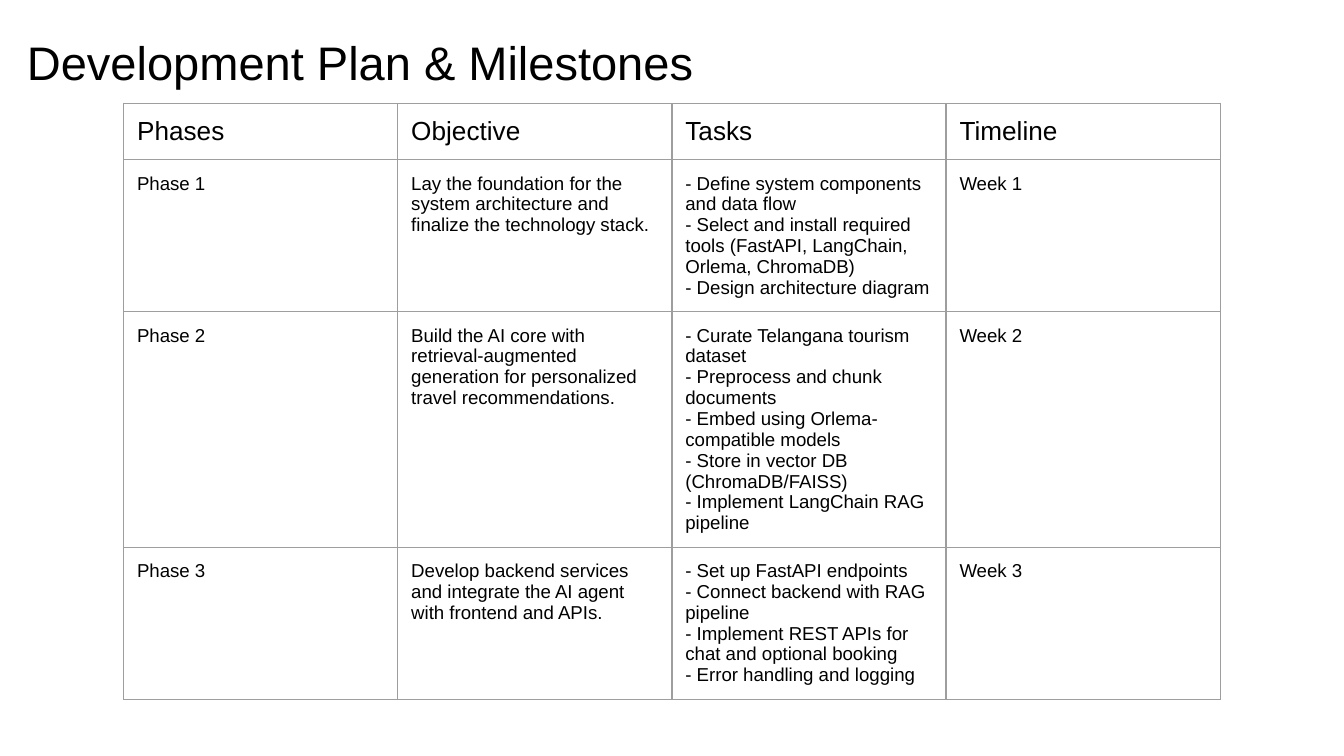
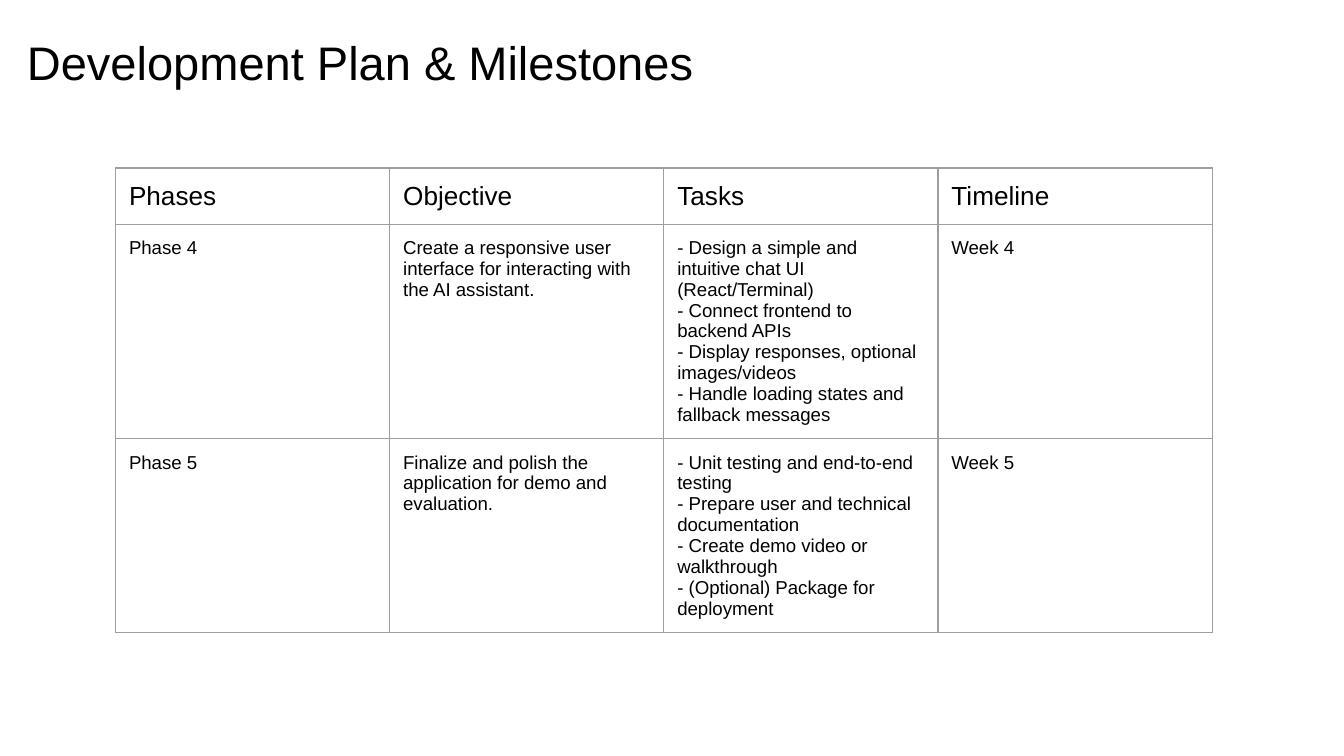
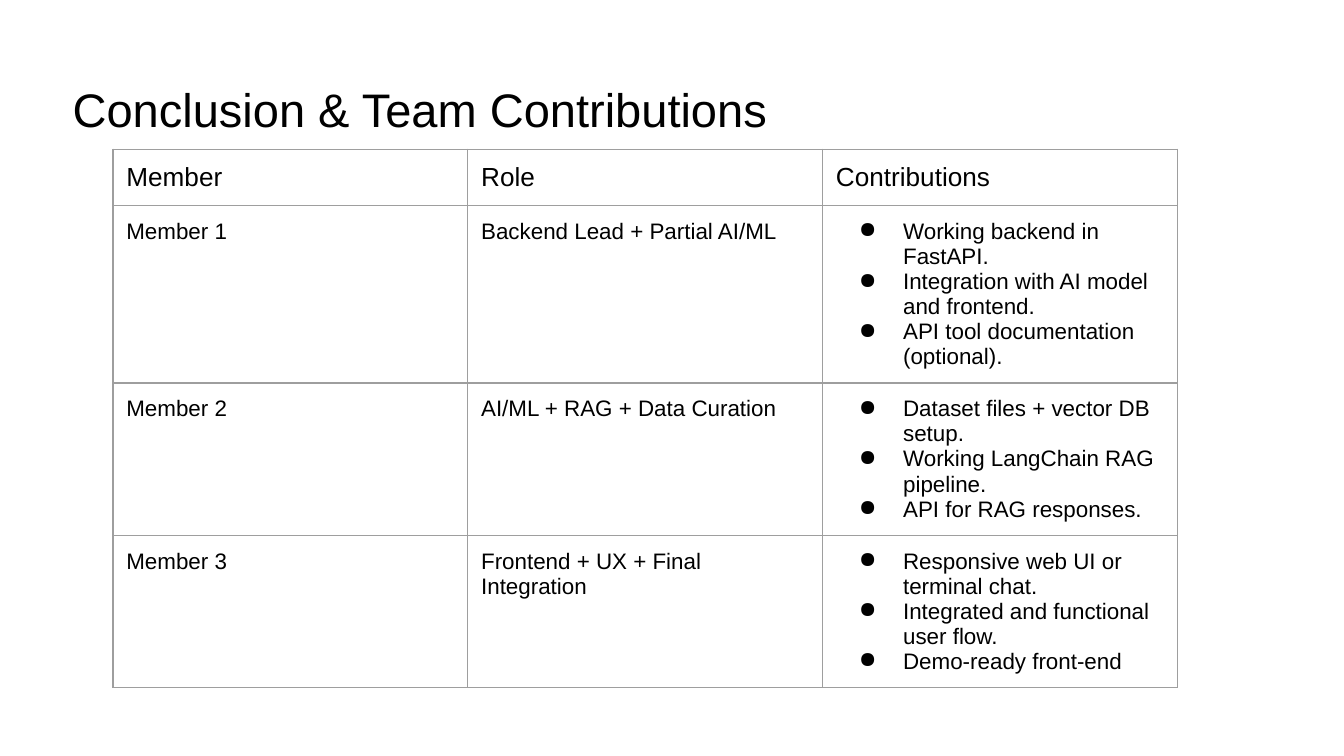
from dataclasses import dataclass

from lxml.etree import SubElement
from pptx import Presentation
from pptx.dml.color import RGBColor as Rgb
from pptx.enum.text import MSO_ANCHOR as Anchor, MSO_AUTO_SIZE as AutoSize, PP_ALIGN as Align
from pptx.oxml.ns import qn
from pptx.util import Pt

PX = 4572
TITLE_ONLY = 5


@dataclass(frozen=True)
class Theme:
    font: str = "Arial"
    ink: str = "000000"
    paper: str = "FFFFFF"
    rule: str = "9E9E9E"
    rule_width: float = 0.75
    title: float = 25.2
    heading: float = 14
    plan: float = 10
    team: float = 12
    inset: int = 20
    bullet: str = "●"
    bullet_margin: int = 100
    bullet_hang: int = 66


class Deck:
    def __init__(self, theme, width, height):
        self.theme = theme
        self.prs = Presentation()
        self.prs.slide_width, self.prs.slide_height = width * PX, height * PX
        self.slide = None

    def new_slide(self):
        self.slide = self.prs.slides.add_slide(self.prs.slide_layouts[TITLE_ONLY])
        background = self.slide.background.fill
        background.solid()
        background.fore_color.rgb = Rgb.from_string(self.theme.paper)

    def style(self, paragraph, size):
        paragraph.alignment = Align.LEFT
        font = paragraph.font
        font.name, font.size = self.theme.font, Pt(size)
        font.color.rgb = Rgb.from_string(self.theme.ink)

    def inset(self, holder):
        holder.margin_left = holder.margin_right = self.theme.inset * PX
        holder.margin_top = holder.margin_bottom = self.theme.inset * PX

    def title(self, text, left, top, width, height, lead=0):
        heading = self.slide.shapes.title
        heading.left, heading.top = left * PX, top * PX
        heading.width, heading.height = width * PX, height * PX
        frame = heading.text_frame
        frame.text = text
        frame.word_wrap = True
        frame.auto_size = AutoSize.NONE
        frame.vertical_anchor = Anchor.BOTTOM
        self.inset(frame)
        frame.margin_left = (self.theme.inset + lead) * PX
        self.style(frame.paragraphs[0], self.theme.title)

    def add_bullet(self, paragraph):
        props = paragraph._p.get_or_add_pPr()
        props.set("marL", str(self.theme.bullet_margin * PX))
        props.set("indent", str(-self.theme.bullet_hang * PX))
        color = SubElement(props, qn("a:buClr"))
        SubElement(color, qn("a:srgbClr"), val=self.theme.ink)
        SubElement(props, qn("a:buChar"), char=self.theme.bullet)

    def add_borders(self, cell):
        props = cell._tc.get_or_add_tcPr()
        for side in ("lnL", "lnR", "lnT", "lnB"):
            line = SubElement(props, qn(f"a:{side}"), w=str(Pt(self.theme.rule_width)))
            fill = SubElement(line, qn("a:solidFill"))
            SubElement(fill, qn("a:srgbClr"), val=self.theme.rule)

    def cell(self, cell, lines, size, bulleted):
        self.inset(cell)
        self.add_borders(cell)
        cell.fill.background()
        cell.vertical_anchor = Anchor.TOP
        cell.text = "\n".join(lines)
        for paragraph in cell.text_frame.paragraphs:
            if bulleted:
                self.add_bullet(paragraph)
            self.style(paragraph, size)

    def table(self, rows, left, top, column_width, row_heights, size, bulleted=False):
        columns = len(rows[0])
        grid = self.slide.shapes.add_table(
            len(rows), columns, left * PX, top * PX,
            columns * column_width * PX, sum(row_heights) * PX).table
        grid.first_row = grid.horz_banding = False
        for r, (row, height) in enumerate(zip(rows, row_heights)):
            grid.rows[r].height = height * PX
            for c, content in enumerate(row):
                is_list = isinstance(content, tuple)
                self.cell(grid.cell(r, c), content if is_list else (content,),
                          size if r else self.theme.heading, bulleted and is_list)


PLAN_HEADER = ("Phases", "Objective", "Tasks", "Timeline")
PLAN = (
    ("Lay the foundation for the system architecture and finalize the technology stack.",
     ("- Define system components and data flow",
      "- Select and install required tools (FastAPI, LangChain, Orlema, ChromaDB)",
      "- Design architecture diagram")),
    ("Build the AI core with retrieval-augmented generation for personalized travel recommendations.",
     ("- Curate Telangana tourism dataset",
      "- Preprocess and chunk documents",
      "- Embed using Orlema-compatible models",
      "- Store in vector DB (ChromaDB/FAISS)",
      "- Implement LangChain RAG pipeline")),
    ("Develop backend services and integrate the AI agent with frontend and APIs.",
     ("- Set up FastAPI endpoints",
      "- Connect backend with RAG pipeline",
      "- Implement REST APIs for chat and optional booking",
      "- Error handling and logging")),
    ("Create a responsive user interface for interacting with the AI assistant.",
     ("- Design a simple and intuitive chat UI (React/Terminal)",
      "- Connect frontend to backend APIs",
      "- Display responses, optional images/videos",
      "- Handle loading states and fallback messages")),
    ("Finalize and polish the application for demo and evaluation.",
     ("- Unit testing and end-to-end testing",
      "- Prepare user and technical documentation",
      "- Create demo video or walkthrough",
      "- (Optional) Package for deployment")),
)
PHASES = [(f"Phase {n}", objective, tasks, f"Week {n}")
          for n, (objective, tasks) in enumerate(PLAN, 1)]

TEAM = (
    ("Member", "Role", "Contributions"),
    ("Member 1", "Backend Lead + Partial AI/ML",
     ("Working backend in FastAPI.",
      "Integration with AI model and frontend.",
      "API tool documentation (optional).")),
    ("Member 2", "AI/ML + RAG + Data Curation",
     ("Dataset files + vector DB setup.",
      "Working LangChain RAG pipeline.",
      "API for RAG responses.")),
    ("Member 3", "Frontend + UX + Final Integration",
     ("Responsive web UI or terminal chat.",
      "Integrated and functional user flow.",
      "Demo-ready front-end")),
)


def plan_slide(deck, phases, left, top, row_heights):
    deck.new_slide()
    deck.title("Development Plan & Milestones", 20, 28, 1884, 126)
    deck.table([PLAN_HEADER, *phases], left, top, 408, row_heights, deck.theme.plan)


def team_slide(deck):
    deck.new_slide()
    deck.title("Conclusion & Team Contributions", 68, 98, 1864, 126, lead=20)
    deck.table(TEAM, 168, 222, 528, [84] * len(TEAM), deck.theme.team, bulleted=True)


def main():
    deck = Deck(Theme(), 2000, 1125)
    plan_slide(deck, PHASES[:3], 184, 154, (76, 212, 330, 212))
    plan_slide(deck, PHASES[3:], 172, 250, (82, 132, 132))
    team_slide(deck)
    deck.prs.save("out.pptx")


if __name__ == "__main__":
    main()
